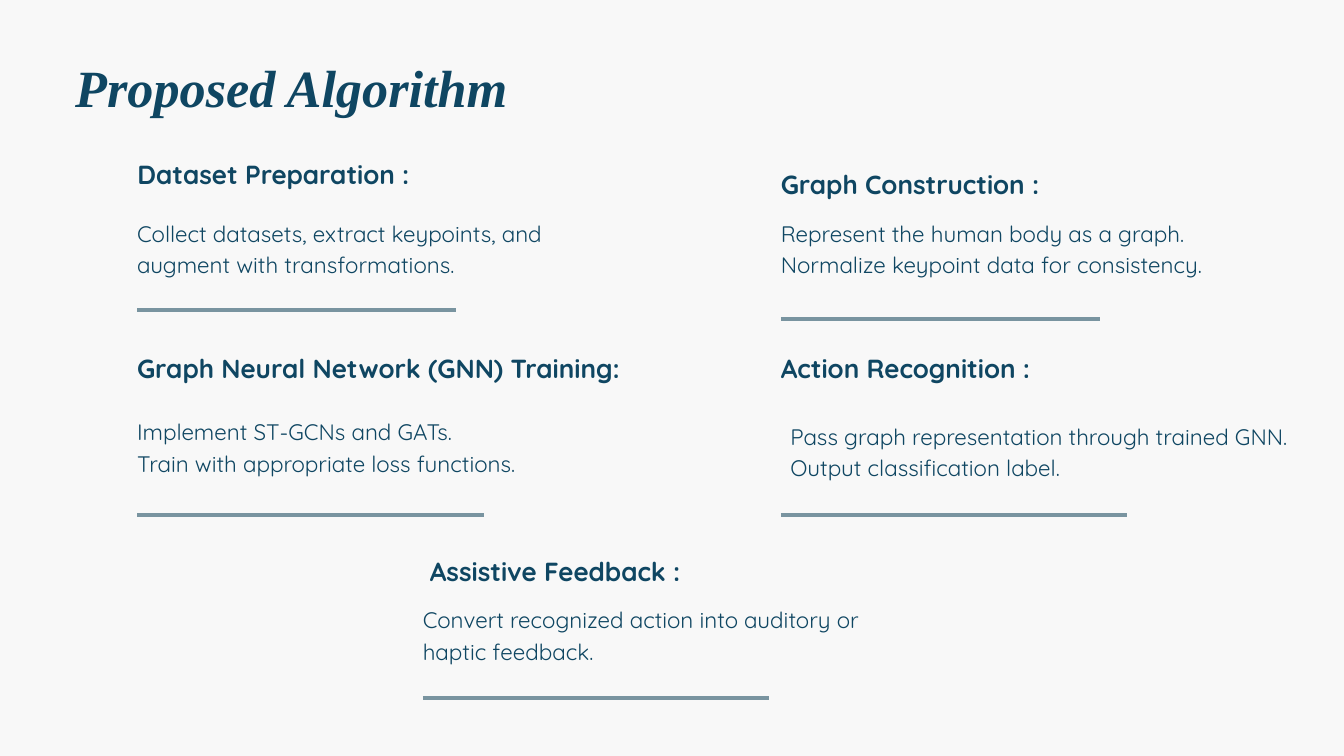
from dataclasses import dataclass

from lxml.etree import SubElement
from pptx import Presentation
from pptx.dml.color import RGBColor
from pptx.enum.shapes import MSO_CONNECTOR
from pptx.enum.text import MSO_ANCHOR, MSO_AUTO_SIZE, PP_ALIGN
from pptx.oxml.ns import qn
from pptx.util import Pt

BACKGROUND = RGBColor(0xF8, 0xF8, 0xF8)
NAVY = RGBColor(0x0F, 0x46, 0x62)
RULE_GREY = RGBColor(0x79, 0x94, 0xA0)

LEFT, RIGHT, MIDDLE = 146.9, 836.6, 453
SHORT_RULE, LONG_RULE = 342, 371.3


@dataclass
class Step:
    heading: str
    lines: list
    heading_box: tuple  # left, top, width
    body_box: tuple
    rule: tuple  # left, top, length
    heading_align: PP_ALIGN = PP_ALIGN.LEFT


STEPS = [
    Step("Dataset Preparation :",
         ["Collect datasets, extract keypoints, and", "augment with transformations."],
         (17.3, 164.2, 421.2), (LEFT, 231.1, 727), (LEFT, 331.9, SHORT_RULE), PP_ALIGN.RIGHT),
    Step("Graph Construction :",
         ["Represent the human body as a graph.", "Normalize keypoint data for consistency."],
         (RIGHT, 175, 421.2), (RIGHT, 231.1, 469.4), (RIGHT, 342, SHORT_RULE)),
    Step("Graph Neural Network (GNN) Training:",
         ["Implement ST-GCNs and GATs.", "Train with appropriate loss functions."],
         (LEFT, 371.5, 583.2), (LEFT, 443.5, 421.2), (LEFT, 552.2, LONG_RULE)),
    Step("Action Recognition :",
         ["Pass graph representation through trained GNN.", "Output classification label."],
         (RIGHT, 371.5, 583.2), (846.7, 448.6, 572.4), (RIGHT, 552.2, LONG_RULE)),
    Step("Assistive Feedback :",
         ["Convert recognized action into auditory or haptic feedback."],
         (460.5, 589.7, 575.5), (MIDDLE, 645.1, 486.7), (MIDDLE, 748.1, LONG_RULE)),
]


class SlideBuilder:
    body_font = "Quicksand"
    title_font = "Times New Roman"

    def __init__(self, page):
        self.page = page
        fill = page.background.fill
        fill.solid()
        fill.fore_color.rgb = BACKGROUND

    def fill_text(self, box, lines, font, size, bold=False, italic=False, align=PP_ALIGN.LEFT):
        frame = box.text_frame
        frame.margin_left = frame.margin_right = frame.margin_top = frame.margin_bottom = 0
        frame.vertical_anchor = MSO_ANCHOR.TOP
        frame.word_wrap = True
        frame.auto_size = MSO_AUTO_SIZE.SHAPE_TO_FIT_TEXT
        frame.text = "\n".join(lines)
        for para in frame.paragraphs:
            para.alignment = align
            para.line_spacing = Pt(size * 1.4)
            para.space_before = Pt(0)
            for span in para.runs:
                span.font.name = font
                span.font.size = Pt(size)
                span.font.bold = bold
                span.font.italic = italic
                span.font.color.rgb = NAVY

    def title(self, text, left, top, width, height):
        box = self.page.shapes.title
        box.left, box.top, box.width, box.height = Pt(left), Pt(top), Pt(width), Pt(height)
        self.fill_text(box, [text], self.title_font, 56, bold=True, italic=True)

    def text(self, lines, place, height, size, **style):
        left, top, width = place
        box = self.page.shapes.add_textbox(Pt(left), Pt(top), Pt(width), Pt(height))
        self.fill_text(box, lines, self.body_font, size, **style)

    def rule(self, left, top, length):
        line = self.page.shapes.add_connector(
            MSO_CONNECTOR.STRAIGHT, Pt(left), Pt(top), Pt(left + length), Pt(top))
        line.line.color.rgb = RULE_GREY
        line.line.width = Pt(4.5)
        SubElement(line._element.spPr, qn("a:effectLst"))

    def step(self, step):
        self.rule(*step.rule)
        self.text([step.heading], step.heading_box, 38.9, 28, bold=True, align=step.heading_align)
        self.text(step.lines, step.body_box, 65.5, 24)


def main():
    deck = Presentation()
    deck.slide_width, deck.slide_height = Pt(1440), Pt(810)
    builder = SlideBuilder(deck.slides.add_slide(deck.slide_layouts.get_by_name("Title Only")))
    builder.title("Proposed Algorithm", 80.6, 48.2, 1108, 74.9)
    for step in STEPS:
        builder.step(step)
    deck.save("out.pptx")


if __name__ == "__main__":
    main()
